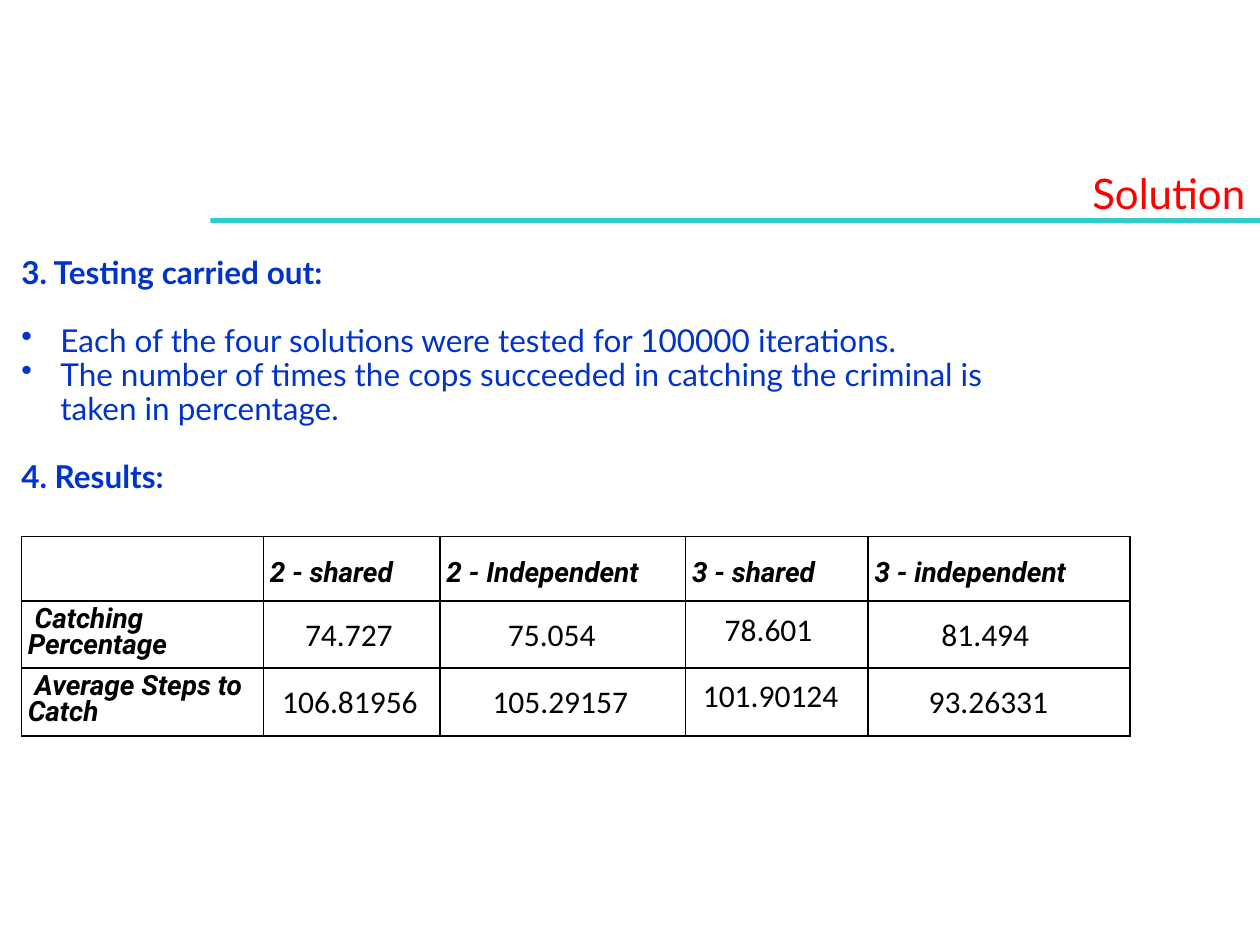
from lxml import etree
from pptx import Presentation
from pptx import util as u
from pptx.dml.color import RGBColor
from pptx.enum import shapes, text
from pptx.oxml import ns

RED = RGBColor(0xFF, 0x00, 0x00)
BLUE = RGBColor(0x00, 0x33, 0xCC)
TEAL = RGBColor(0x33, 0xCC, 0xCC)
BLACK = RGBColor(0x00, 0x00, 0x00)

INSET = 0.13
BODY = [
    ("3. Testing carried out:", True),
    ("Each of the four solutions were tested for 100000 iterations.", False),
    ("The number of times the cops succeeded in catching the criminal is "
     "taken in percentage.", False),
    ("4. Results:", True),
]
HEADERS = ["2 - shared", "2 - Independent", "3 - shared", "3 - independent"]
LABELS = ["Catching Percentage", "Average Steps to Catch"]
COLUMN_WIDTHS = [4.88, 3.56, 4.95, 3.68, 5.28]
ROW_HEIGHTS = [1.3, 1.31, 1.37]
# Value, left, top and width, measured from the table's corner
VALUES = [
    ("74.727", 5.59, 1.45, 2.13),
    ("75.054", 9.68, 1.45, 2.06),
    ("78.601", 14.05, 1.35, 2.06),
    ("81.494", 18.42, 1.45, 2.06),
    ("106.81956", 5.13, 2.79, 3.25),
    ("105.29157", 9.37, 2.79, 3.25),
    ("101.90124", 13.61, 2.67, 3.25),
    ("93.26331", 18.16, 2.79, 2.92),
]


def style(para, font, size, color, bold=False, italic=False):
    for span in para.runs:
        span.font.name = font
        span.font.size = u.Pt(size)
        span.font.color.rgb = color
        span.font.bold = bold
        span.font.italic = italic


def set_margins(holder, margin):
    for side in ("left", "top", "right", "bottom"):
        setattr(holder, f"margin_{side}", u.Cm(margin))


def add_text_frame(page, left, top, width, height, margin=0):
    box = page.shapes.add_textbox(u.Cm(left), u.Cm(top), u.Cm(width), u.Cm(height))
    frame = box.text_frame
    frame.word_wrap = True
    set_margins(frame, margin)
    return frame


def add_bullet(para, indent):
    props = para._p.get_or_add_pPr()
    props.set("marL", str(u.Cm(indent)))
    props.set("indent", str(-u.Cm(indent)))
    etree.SubElement(props, ns.qn("a:buChar")).set("char", "•")


def add_borders(cell):
    props = cell._tc.get_or_add_tcPr()
    for position, side in enumerate(("lnL", "lnR", "lnT", "lnB")):
        line = etree.Element(ns.qn(f"a:{side}"), w=str(u.Pt(1)))
        fill = etree.SubElement(line, ns.qn("a:solidFill"))
        etree.SubElement(fill, ns.qn("a:srgbClr"), val=str(BLACK))
        props.insert(position, line)


def add_title(page, left, top, width, height):
    """Place the title, with the rule that runs under it to the page edge."""
    rule_left = 4.24
    rule = page.shapes.add_shape(
        shapes.MSO_SHAPE.RECTANGLE, u.Cm(rule_left), u.Cm(top + height),
        u.Cm(left + width - rule_left), u.Cm(0.1))
    rule.shadow.inherit = False
    rule.fill.solid()
    rule.fill.fore_color.rgb = TEAL
    rule.line.fill.background()
    frame = add_text_frame(page, left, top, width, height)
    frame.text = "Solution"
    style(frame.paragraphs[0], "Lato", 24, RED)


def add_body(page, left, top, width, height):
    frame = add_text_frame(page, left, top, width, height)
    frame.margin_top = u.Cm(0.69)
    after_heading = False
    for index, (wording, heading) in enumerate(BODY):
        para = frame.add_paragraph() if index else frame.paragraphs[0]
        para.text = wording
        para.line_spacing = 0.9
        style(para, "Lato", 18, BLUE, bold=heading)
        if index and (heading or after_heading):
            para.space_before = u.Pt(19.4)
        if not heading:
            add_bullet(para, 0.79)
        after_heading = heading


def add_results(page, left, top):
    """Place the results grid and the figures that lie over it."""
    frame = page.shapes.add_table(
        len(ROW_HEIGHTS), len(COLUMN_WIDTHS), u.Cm(left), u.Cm(top),
        u.Cm(sum(COLUMN_WIDTHS)), u.Cm(sum(ROW_HEIGHTS)))
    table = frame.table
    for column, width in zip(table.columns, COLUMN_WIDTHS):
        column.width = u.Cm(width)
    for row, height in zip(table.rows, ROW_HEIGHTS):
        row.height = u.Cm(height)
    for cell in table.iter_cells():
        set_margins(cell, INSET)
        cell.fill.background()
        add_borders(cell)

    headers = [(table.cell(0, i), name) for i, name in enumerate(HEADERS, 1)]
    labels = [(table.cell(i, 0), name) for i, name in enumerate(LABELS, 1)]
    for cell, name in headers + labels:
        cell.text = name
        para = cell.text_frame.paragraphs[0]
        para.line_spacing = 0.8
        style(para, "Roboto", 16, BLACK, bold=True, italic=True)
    for cell, _ in headers:
        cell.margin_top = u.Cm(0.51)
    for cell, _ in labels:
        para = cell.text_frame.paragraphs[0]
        para._p.get_or_add_pPr().set("indent", str(u.Cm(0.14)))

    for value, x, y, width in VALUES:
        figure = add_text_frame(page, left + x, top + y, width, 0.91, INSET)
        figure.auto_size = text.MSO_AUTO_SIZE.SHAPE_TO_FIT_TEXT
        figure.text = value
        style(figure.paragraphs[0], "Calibri", 18, BLACK)


def main():
    deck = Presentation()
    deck.slide_width, deck.slide_height = u.Cm(25.4), u.Cm(19.05)
    page = deck.slides.add_slide(deck.slide_layouts[6])
    add_title(page, 22.02, 3.38, 3.38, 1.02)
    add_body(page, 0.43, 4.5, 19.81, 5.51)
    add_results(page, 0.43, 10.82)
    deck.save("out.pptx")


if __name__ == "__main__":
    main()
